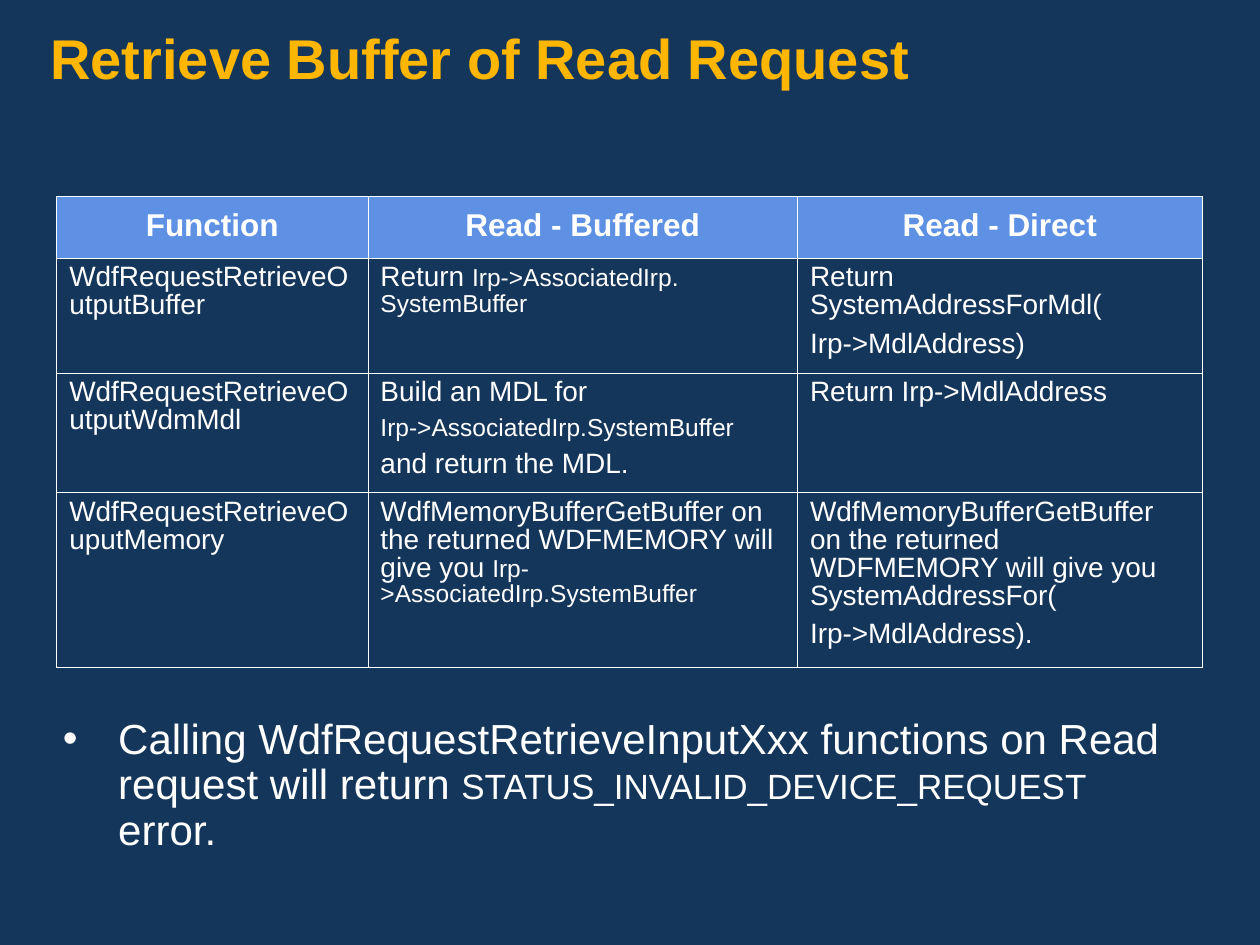
from lxml import etree
from pptx import Presentation
from pptx.dml.color import RGBColor
from pptx.enum.text import MSO_ANCHOR, MSO_AUTO_SIZE, PP_ALIGN
from pptx.oxml.ns import qn
from pptx.util import Inches, Pt

COLORS = {"background": "15365B", "title": "FFB601", "text": "FFFFFF", "header": "5E91E4"}
FONT = "Arial"
COLUMN_WIDTHS = [2.47, 3.41, 3.21]
ROW_HEIGHTS = [0.49, 0.91, 0.95, 1.39]
HEADERS = ["Function", "Read - Buffered", "Read - Direct"]
LARGE, SMALL = 16, 14
MEMORY_TEXT = "WdfMemoryBufferGetBuffer on the returned WDFMEMORY will give you "
SYSTEM_BUFFER = ("Irp->AssociatedIrp.SystemBuffer", SMALL)
BODY_ROWS = [
    [
        [[("WdfRequestRetrieveOutputBuffer", LARGE)]],
        [[("Return ", LARGE), ("Irp->AssociatedIrp. SystemBuffer", SMALL)]],
        [[("Return SystemAddressForMdl(", LARGE)], [("Irp->MdlAddress)", LARGE)]],
    ],
    [
        [[("WdfRequestRetrieveOutputWdmMdl", LARGE)]],
        [[("Build an MDL for", LARGE)], [SYSTEM_BUFFER], [("and return the MDL.", LARGE)]],
        [[("Return Irp->MdlAddress", LARGE)]],
    ],
    [
        [[("WdfRequestRetrieveOuputMemory", LARGE)]],
        [[(MEMORY_TEXT, LARGE), SYSTEM_BUFFER]],
        [[(MEMORY_TEXT + "SystemAddressFor(", LARGE)], [("Irp->MdlAddress).", LARGE)]],
    ],
]
NOTE = [
    ("Calling WdfRequestRetrieveInputXxx functions on Read request will return ", 24),
    ("STATUS_INVALID_DEVICE_REQUEST", 20),
    (" error.", 24),
]


def rgb(name):
    return RGBColor.from_string(COLORS[name])


def fill_paragraph(paragraph, runs, color="text", bold=False):
    paragraph.line_spacing = 0.9
    for text, size in runs:
        run = paragraph.add_run()
        run.text = text
        run.font.name = FONT
        run.font.size = Pt(size)
        run.font.bold = bold
        run.font.color.rgb = rgb(color)


def add_text_frame(slide, box):
    frame = slide.shapes.add_textbox(*map(Inches, box)).text_frame
    frame.word_wrap = True
    return frame


def add_title(slide, box):
    frame = add_text_frame(slide, box)
    frame.margin_left = frame.margin_right = Inches(0.4)
    frame.margin_top = Inches(0.25)
    fill_paragraph(frame.paragraphs[0], [("Retrieve Buffer of Read Request", 32)], "title", True)


def add_borders(cell):
    properties = cell._tc.get_or_add_tcPr()
    for side in ("lnL", "lnR", "lnT", "lnB"):
        line = etree.SubElement(properties, qn(f"a:{side}"), w=str(Pt(0.45)))
        fill = etree.SubElement(line, qn("a:solidFill"))
        etree.SubElement(fill, qn("a:srgbClr"), val=COLORS["text"])


def fill_header_cell(cell, text):
    add_borders(cell)
    cell.fill.solid()
    cell.fill.fore_color.rgb = rgb("header")
    cell.vertical_anchor = MSO_ANCHOR.MIDDLE
    paragraph = cell.text_frame.paragraphs[0]
    paragraph.alignment = PP_ALIGN.CENTER
    fill_paragraph(paragraph, [(text, 18)], bold=True)


def fill_body_cell(cell, paragraphs):
    add_borders(cell)
    cell.fill.background()
    frame = cell.text_frame
    for index, runs in enumerate(paragraphs):
        paragraph = frame.add_paragraph() if index else frame.paragraphs[0]
        if index:
            paragraph.space_before = Pt(6 if runs[0][1] == LARGE else 5.2)
        fill_paragraph(paragraph, runs)


def add_function_table(slide, box):
    table = slide.shapes.add_table(
        len(ROW_HEIGHTS), len(COLUMN_WIDTHS), *map(Inches, box)
    ).table
    table.horz_banding = False
    for column, width in zip(table.columns, COLUMN_WIDTHS):
        column.width = Inches(width)
    for row, height in zip(table.rows, ROW_HEIGHTS):
        row.height = Inches(height)
    for column_index, text in enumerate(HEADERS):
        fill_header_cell(table.cell(0, column_index), text)
    for row_index, row in enumerate(BODY_ROWS, start=1):
        for column_index, paragraphs in enumerate(row):
            fill_body_cell(table.cell(row_index, column_index), paragraphs)


def add_note(slide, box):
    frame = add_text_frame(slide, box)
    frame.auto_size = MSO_AUTO_SIZE.SHAPE_TO_FIT_TEXT
    paragraph = frame.paragraphs[0]
    properties = paragraph._p.get_or_add_pPr()
    properties.set("marL", str(Inches(0.44)))
    properties.set("indent", str(Inches(-0.44)))
    bullet_color = etree.SubElement(properties, qn("a:buClr"))
    etree.SubElement(bullet_color, qn("a:srgbClr"), val=COLORS["text"])
    etree.SubElement(properties, qn("a:buFont"), typeface=FONT)
    etree.SubElement(properties, qn("a:buChar"), char="•")
    fill_paragraph(paragraph, NOTE)


def main():
    presentation = Presentation()
    presentation.slide_width = Inches(10)
    presentation.slide_height = Inches(7.5)
    slide = presentation.slides.add_slide(presentation.slide_layouts[6])
    slide.background.fill.solid()
    slide.background.fill.fore_color.rgb = rgb("background")
    add_title(slide, (0, 0, 10, 0.75))
    add_function_table(slide, (0.45, 1.56, sum(COLUMN_WIDTHS), sum(ROW_HEIGHTS)))
    add_note(slide, (0.4, 5.65, 9.17, 1.18))
    presentation.save("out.pptx")


if __name__ == "__main__":
    main()
